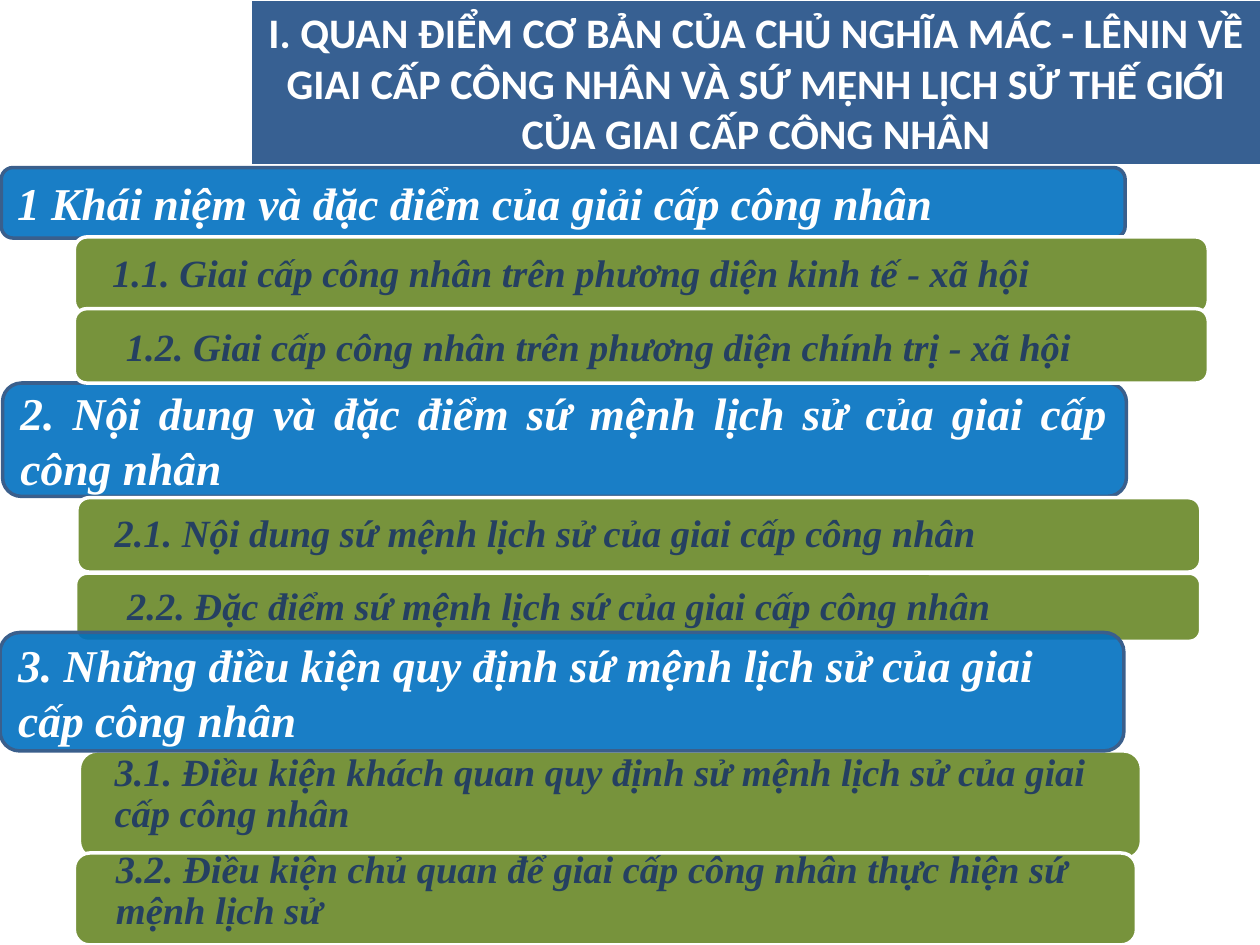
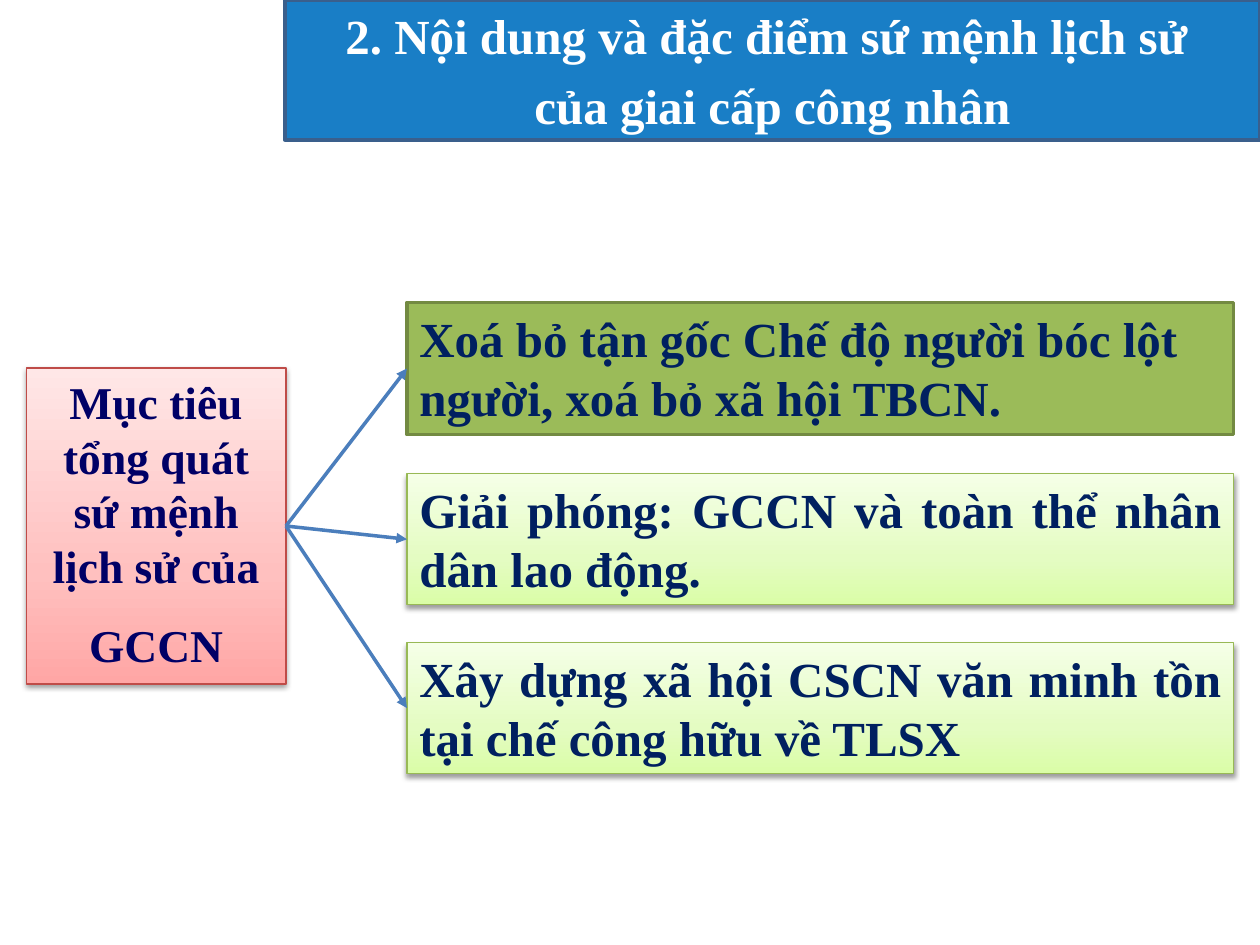
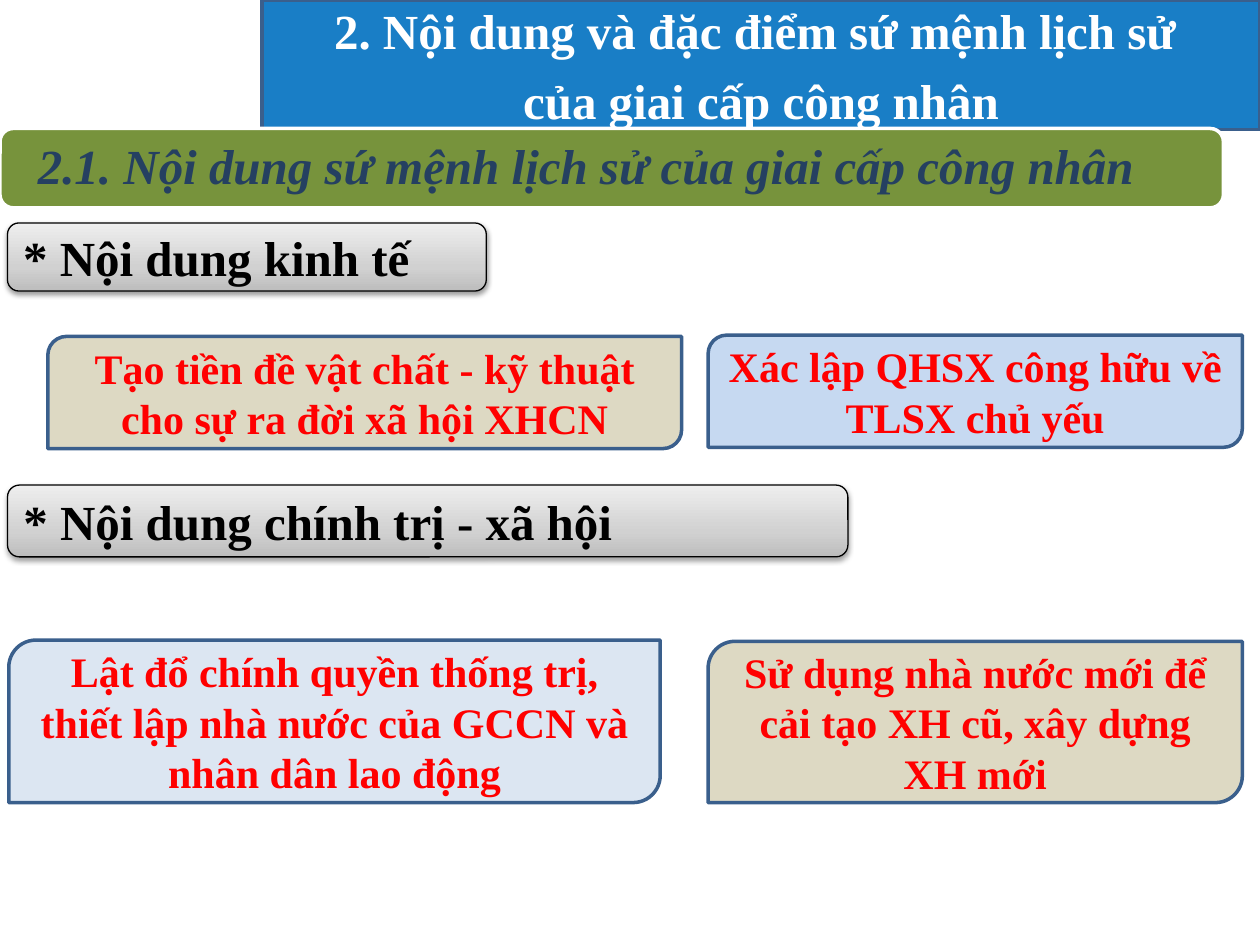
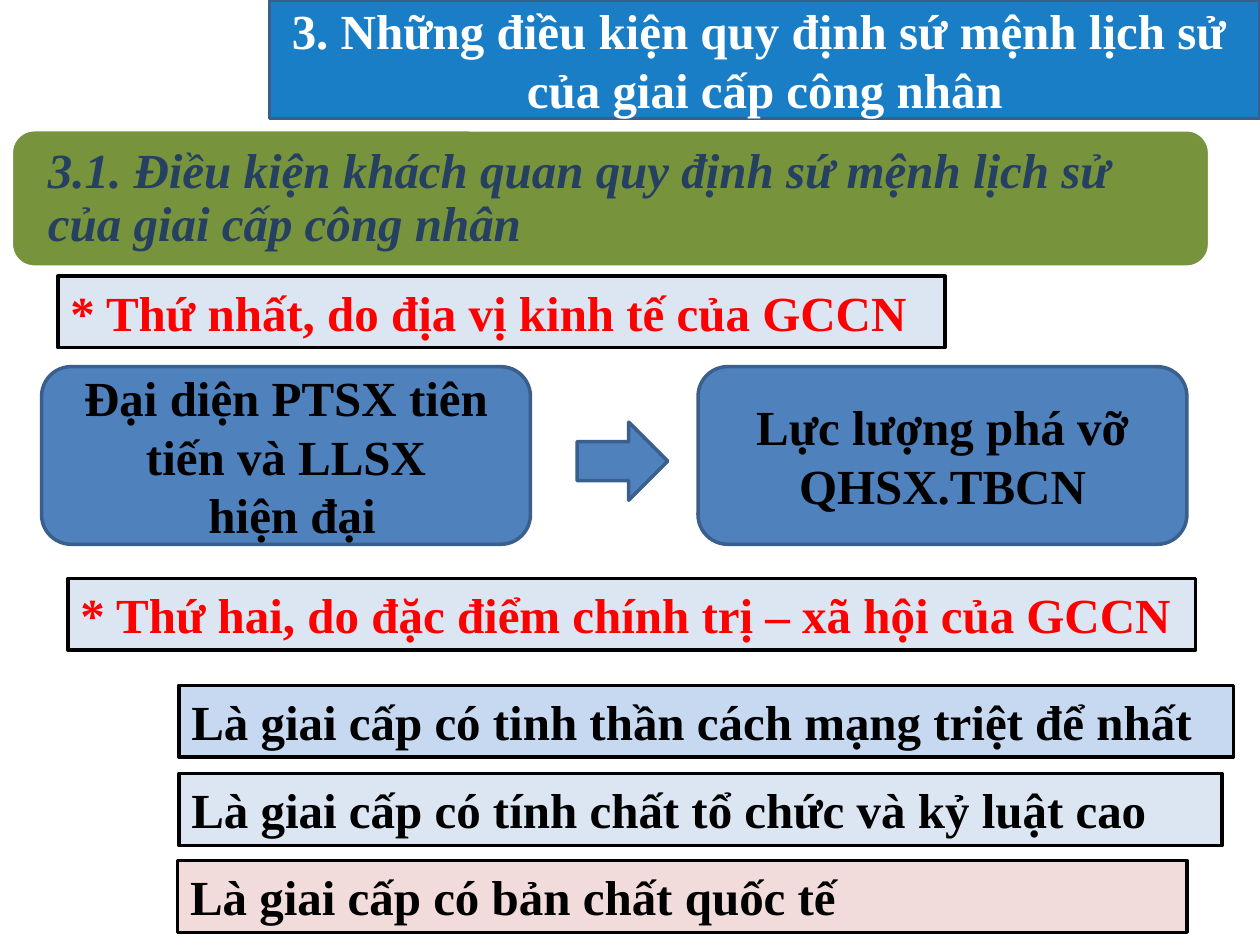
from lxml import etree
from pptx import Presentation
from pptx import util as u
from pptx.dml.color import RGBColor
from pptx.enum import shapes, text
from pptx.oxml import ns

Inches, Pt = u.Inches, u.Pt
KIND = shapes.MSO_SHAPE
ALIGN = text.PP_ALIGN
ANCHOR = text.MSO_ANCHOR
COLOURS = {
    "white": "FFFFFF", "black": "000000", "red": "FF0000",
    "title": "376092", "header": "0070C0", "outline": "3A5F8C",
    "band": "77933C", "band_text": "254061", "navy": "002060",
    "goal_text": "000066", "green": "9BBB59", "green_line": "738A42",
    "lime_line": "98B955", "pink_line": "BF4C48", "arrow": "4B7EBC",
    "blue": "4F81BD", "tan": "DDD9C3", "sky": "C6D9F1",
    "pale": "DCE6F2", "rose": "F2DCDB",
}
GRADIENTS = {
    "lime": ("DAFDA7", "E4FCC2", "F5FFE7"),
    "pink": ("FFA6A5", "FFC0BF", "FFE7E7"),
    "grey": ("BDBDBD", "D1D1D1", "EEEEEE"),
}
GRADIENT_STOPS = (0, 35, 100)
SERIF = "Times New Roman"


def add_xml(parent, tag, **attributes):
    child = etree.SubElement(parent, ns.qn(tag))
    for name, value in attributes.items():
        child.set(name, str(value))
    return child


class Board:
    def __init__(self):
        self.deck = Presentation()
        self.deck.slide_width = Inches(10)
        self.deck.slide_height = Inches(7.5)
        self.page = None

    def colour(self, name):
        return RGBColor.from_string(COLOURS[name])

    def new_page(self):
        self.page = self.deck.slides.add_slide(self.deck.slide_layouts[5])

    def paint(self, shape, fill, line=None, width=2.0, opacity=100):
        if fill in GRADIENTS:
            self.paint_gradient(shape, GRADIENTS[fill])
        else:
            shape.fill.solid()
            shape.fill.fore_color.rgb = self.colour(fill)
            if opacity < 100:
                tone = shape.element.spPr.find(".//" + ns.qn("a:srgbClr"))
                add_xml(tone, "a:alpha", val=opacity * 1000)
        if line:
            shape.line.color.rgb = self.colour(line)
            shape.line.width = Pt(width)
        else:
            shape.line.fill.background()

    def paint_gradient(self, shape, tones):
        shape.fill.background()
        properties = shape.element.spPr
        empty = properties.find(ns.qn("a:noFill"))
        gradient = etree.Element(ns.qn("a:gradFill"), rotWithShape="1")
        stops = add_xml(gradient, "a:gsLst")
        for position, tone in zip(GRADIENT_STOPS, tones):
            stop = add_xml(stops, "a:gs", pos=position * 1000)
            add_xml(stop, "a:srgbClr", val=tone)
        add_xml(gradient, "a:lin", ang=270 * 60000, scaled=0)
        properties.replace(empty, gradient)

    def add_shadow(self, shape):
        effects = shape.element.spPr.find(ns.qn("a:effectLst"))
        shadow = add_xml(effects, "a:outerShdw", blurRad=Pt(3.1), dist=Pt(1.6),
                         dir=90 * 60000, rotWithShape=0)
        tone = add_xml(shadow, "a:srgbClr", val=COLOURS["black"])
        add_xml(tone, "a:alpha", val=38000)

    def set_words(self, shape, words, size, colour, align=ALIGN.LEFT, anchor=ANCHOR.MIDDLE,
                  italic=False, font=SERIF, gap=0, spacing=None, wrap=True, grow=False):
        frame = shape.text_frame
        frame.text = words
        frame.word_wrap = wrap
        frame.vertical_anchor = anchor
        fit = text.MSO_AUTO_SIZE
        frame.auto_size = fit.SHAPE_TO_FIT_TEXT if grow else fit.NONE
        for index, para in enumerate(frame.paragraphs):
            para.alignment = align
            if index and gap:
                para.space_before = Pt(gap)
            if spacing:
                para.line_spacing = spacing
            for span in para.runs:
                span.font.name = font
                span.font.size = Pt(size)
                span.font.bold = True
                span.font.italic = italic
                span.font.color.rgb = self.colour(colour)

    def place_title(self, place):
        title = self.page.shapes.title
        title.left, title.top, title.width, title.height = map(Inches, place)
        return title

    def title(self, place, words):
        title = self.place_title(place)
        self.paint(title, "title")
        self.set_words(title, words, 24, "white", ALIGN.CENTER, font="Calibri")

    def header(self, place, words, gap=0.0):
        title = self.place_title(place)
        outline = add_xml(title.element.spPr, "a:prstGeom", prst="roundRect")
        add_xml(outline, "a:avLst")
        self.paint(title, "header", "outline", opacity=90)
        self.set_words(title, words, 28, "white", ALIGN.CENTER, gap=gap)

    def shape(self, kind, place, fill, line, width=2.0, opacity=100, parent=None):
        shape = (parent or self.page).shapes.add_shape(kind, *map(Inches, place))
        shape.shadow.inherit = False
        self.paint(shape, fill, line, width, opacity)
        return shape

    def section(self, place, words, align=ALIGN.LEFT):
        bar = self.shape(KIND.ROUNDED_RECTANGLE, place, "header", "outline", opacity=90)
        self.set_words(bar, words, 26, "white", align, italic=True)

    def band(self, place, caption_place, words, size=22):
        group = self.page.shapes.add_group_shape()
        self.shape(KIND.ROUNDED_RECTANGLE, place, "band", "white", parent=group)
        caption = group.shapes.add_textbox(*map(Inches, caption_place))
        self.set_words(caption, words, size, "band_text", italic=True, spacing=0.9)
        frame = caption.text_frame
        frame.margin_left = frame.margin_right = Inches(0.24)
        frame.margin_top = frame.margin_bottom = 0

    def box(self, place, words, fill, line, colour, size=28, width=2.0, **style):
        box = self.shape(KIND.RECTANGLE, place, fill, line, width)
        if fill in GRADIENTS:
            self.add_shadow(box)
        self.set_words(box, words, size, colour, anchor=ANCHOR.TOP, grow=True, **style)
        return box

    def label(self, place, words):
        label = self.shape(KIND.ROUNDED_RECTANGLE, place, "grey", "black", 0.75)
        self.add_shadow(label)
        self.set_words(label, words, 28, "black")

    def card(self, kind, place, words, fill, size, colour):
        card = self.shape(kind, place, fill, "outline")
        self.set_words(card, words, size, colour, ALIGN.CENTER)

    def arrow(self, start, end):
        arrow = self.page.shapes.add_connector(shapes.MSO_CONNECTOR.STRAIGHT, 0, 0, 0, 0)
        arrow.begin_connect(start, 3)
        arrow.end_connect(end, 1)
        arrow.line.color.rgb = self.colour("arrow")
        arrow.line.width = Pt(2)
        properties = arrow.element.spPr
        add_xml(properties.find(ns.qn("a:ln")), "a:tailEnd", type="triangle")
        add_xml(properties, "a:effectLst")


def outline_page(board):
    board.new_page()
    board.title((2, 0.01, 8, 1.29),
                "I. QUAN ĐIỂM CƠ BẢN CỦA CHỦ NGHĨA MÁC - LÊNIN VỀ GIAI CẤP CÔNG NHÂN "
                "VÀ SỨ MỆNH LỊCH SỬ THẾ GIỚI CỦA GIAI CẤP CÔNG NHÂN")
    board.section((0.01, 1.33, 8.92, 0.56), "1 Khái niệm và đặc điểm của giải cấp công nhân")
    board.section((0.02, 3.04, 8.92, 0.9),
                  "2. Nội dung và đặc điểm sứ mệnh lịch sử của giai cấp công nhân", ALIGN.JUSTIFY)
    for place, caption_place, words in (
        ((0.59, 1.88, 9, 0.61), (0.65, 1.91, 8.88, 0.55),
         "1.1. Giai cấp công nhân trên phương diện kinh tế - xã hội"),
        ((0.59, 2.45, 9, 0.59), (0.76, 2.48, 8.9, 0.58),
         "1.2. Giai cấp công nhân trên phương diện chính trị - xã hội"),
        ((0.61, 3.95, 8.92, 0.59), (0.67, 3.98, 8.8, 0.54),
         "2.1. Nội dung sứ mệnh lịch sử của giai cấp công nhân"),
        ((0.6, 4.55, 8.93, 0.54), (0.77, 4.58, 8.83, 0.49),
         "2.2. Đặc điểm sứ mệnh lịch sứ của giai cấp công nhân"),
        ((0.63, 5.96, 8.43, 0.86), (0.67, 6, 8.34, 0.61),
         "3.1. Điều kiện khách quan quy định sử mệnh lịch sử của giai cấp công nhân"),
    ):
        board.band(place, caption_place, words)
    board.section((0, 5.02, 8.92, 0.94),
                  "3. Những điều kiện quy định sứ mệnh lịch sử của giai cấp công nhân")
    board.band((0.59, 6.77, 8.43, 0.73), (0.68, 6.77, 8.34, 0.61),
               "3.2. Điều kiện chủ quan để giai cấp công nhân thực hiện sứ mệnh lịch sử")


MISSION = "2. Nội dung và đặc điểm sứ mệnh lịch sử \ncủa giai cấp công nhân"


def goals_page(board):
    board.new_page()
    board.header((2.26, 0, 7.74, 1.11), MISSION, 6.4)
    goals = [
        board.box((3.23, 2.4, 6.56, 1.05),
                  "Xoá bỏ tận gốc Chế độ người bóc lột người, xoá bỏ xã hội TBCN.",
                  "green", "green_line", "navy", spacing=Pt(33.6))
    ]
    for top, words in (
        (3.76, "Giải phóng: GCCN và toàn thể nhân dân lao động."),
        (5.1, "Xây dựng xã hội CSCN văn minh tồn tại chế công hữu về TLSX"),
    ):
        goals.append(board.box((3.23, top, 6.56, 1.04), words, "lime", "lime_line", "navy",
                               width=0.75, align=ALIGN.JUSTIFY))
    source = board.box((0.21, 2.92, 2.06, 2.51),
                       "Mục tiêu tổng quát sứ mệnh lịch sử của\nGCCN",
                       "pink", "pink_line", "goal_text", 26, 0.75, align=ALIGN.CENTER, gap=14)
    for goal in goals:
        board.arrow(source, goal)


def content_page(board):
    board.new_page()
    board.header((2.08, 0, 7.92, 1.03), MISSION, 6.4)
    board.band((0, 1.02, 9.71, 0.63), (0.06, 1.05, 9.58, 0.57),
               "2.1. Nội dung sứ mệnh lịch sử của giai cấp công nhân", 28)
    board.label((0.06, 1.77, 3.8, 0.54), "* Nội dung kinh tế")
    board.label((0.06, 3.85, 6.67, 0.57), "* Nội dung chính trị - xã hội")
    for place, fill, words in (
        ((0.38, 2.67, 5.03, 0.89), "tan",
         "Tạo tiền đề vật chất - kỹ thuật cho sự ra đời xã hội XHCN"),
        ((5.62, 2.66, 4.24, 0.89), "sky", "Xác lập QHSX công hữu về TLSX chủ yếu"),
        ((0.07, 5.08, 5.17, 1.29), "pale",
         "Lật đổ chính quyền thống trị, thiết lập nhà nước của GCCN và nhân dân lao động"),
        ((5.62, 5.09, 4.24, 1.28), "tan",
         "Sử dụng nhà nước mới để cải tạo XH cũ, xây dựng XH mới"),
    ):
        board.card(KIND.ROUND_2_DIAG_RECTANGLE, place, words, fill, 24, "red")


def conditions_page(board):
    board.new_page()
    board.header((2.14, 0, 7.86, 0.94),
                 "3. Những điều kiện quy định sứ mệnh lịch sử \ncủa giai cấp công nhân")
    board.band((0.09, 1.03, 9.51, 1.09), (0.14, 1.09, 9.42, 0.98),
               "3.1. Điều kiện khách quan quy định sứ mệnh lịch sử của giai cấp công nhân", 28)
    for left, words in (
        (0.33, "Đại diện PTSX tiên tiến và LLSX\n hiện đại"),
        (5.54, "Lực lượng phá vỡ QHSX.TBCN"),
    ):
        board.card(KIND.ROUNDED_RECTANGLE, (left, 2.91, 3.88, 1.41), words, "blue", 28, "black")
    board.shape(KIND.RIGHT_ARROW, (4.58, 3.35, 0.72, 0.62), "blue", "outline")
    for left, top, width, fill, colour, wrap, words in (
        (0.46, 2.19, 7.04, "pale", "red", False, "* Thứ nhất, do địa vị kinh tế của GCCN"),
        (0.54, 4.59, 8.95, "pale", "red", False,
         "* Thứ hai, do đặc điểm chính trị – xã hội của GCCN"),
        (1.42, 5.44, 8.37, "sky", "black", True,
         "Là giai cấp có tinh thần cách mạng triệt để nhất"),
        (1.42, 6.14, 8.28, "pale", "black", True,
         "Là giai cấp có tính chất tổ chức và kỷ luật cao"),
        (1.41, 6.83, 8.01, "rose", "black", True, "Là giai cấp có bản chất quốc tế"),
    ):
        board.box((left, top, width, 0.57), words, fill, "black", colour, wrap=wrap)


def main():
    board = Board()
    outline_page(board)
    goals_page(board)
    content_page(board)
    conditions_page(board)
    board.deck.save("out.pptx")


if __name__ == "__main__":
    main()
